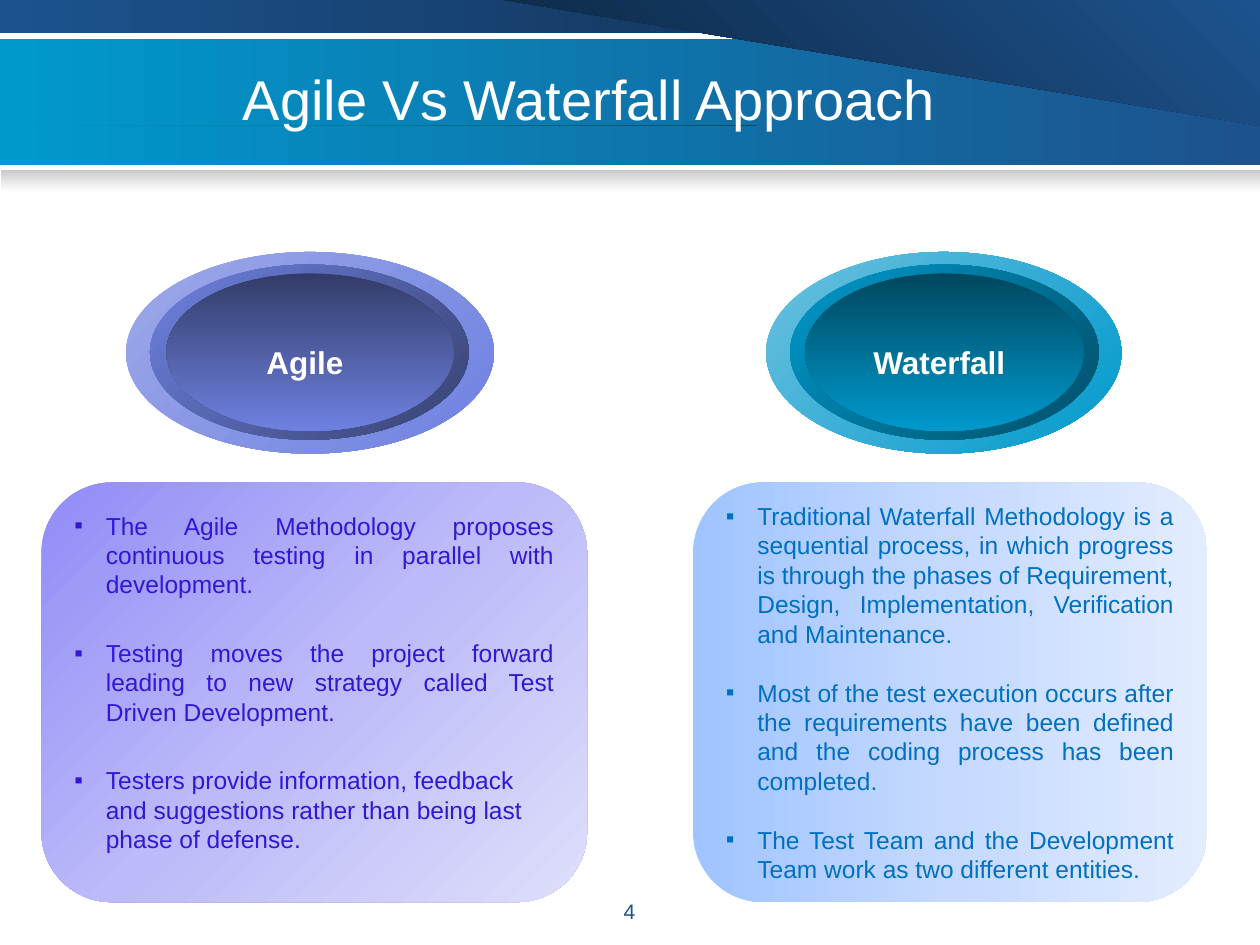
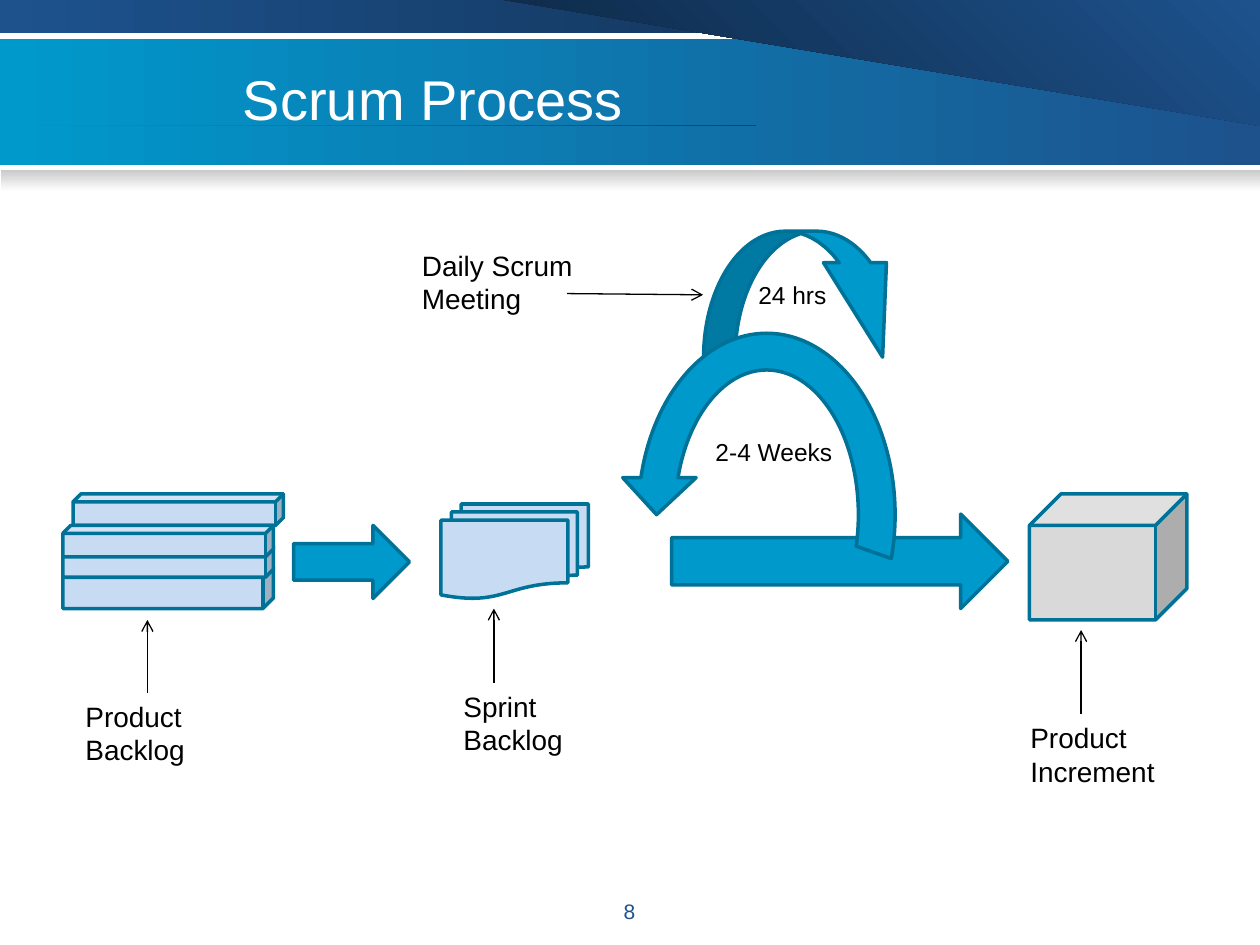
from lxml.etree import SubElement
from pptx import Presentation
from pptx.dml.color import RGBColor
from pptx.enum.shapes import MSO_CONNECTOR, MSO_SHAPE
from pptx.enum.text import MSO_ANCHOR, PP_ALIGN
from pptx.oxml.ns import qn
from pptx.util import Inches, Pt

THEME = {
    "font": "Arial",
    "title": {"size": Pt(32), "color": "FFFFFF"},
    "number": {"size": Pt(12), "color": "1D528D"},
    "heading": {"size": Pt(18), "color": "FFFFFF", "bold": True},
    "agile": {"size": Pt(14), "color": "3217D3"},
    "waterfall": {"size": Pt(14), "color": "0070C0"},
    "duration": {"size": Pt(14), "color": "000000"},
    "label": {"size": Pt(16), "color": "000000"},
    "cyan": "0099CC",
    "navy": "1D528D",
    "dark_navy": "0D2641",
    "dark_cyan": "00475E",
    "pale": "C7DCF3",
    "gray": "D9D9D9",
    "outline": "007197",
    "black": "000000",
}


def paint(shape, colors, angle=0, outline=None):
    """Fill with one colour, or with evenly spaced stops at a clockwise angle."""
    shape.shadow.inherit = False
    if isinstance(colors, str):
        shape.fill.solid()
        shape.fill.fore_color.rgb = RGBColor.from_string(colors)
    else:
        shape.fill.gradient()
        shape.fill.gradient_angle = (360 - angle) % 360
        stops = shape._element.spPr.find(".//" + qn("a:gsLst"))
        for stop in list(stops):
            stops.remove(stop)
        for index, color in enumerate(colors):
            position = round(100000 * index / (len(colors) - 1))
            stop = SubElement(stops, qn("a:gs"), pos=str(position))
            SubElement(stop, qn("a:srgbClr"), val=color)
    if outline:
        shape.line.color.rgb = RGBColor.from_string(outline)
        shape.line.width = Pt(2)
    else:
        shape.line.fill.background()


def write(shape, texts, style, align=PP_ALIGN.LEFT, anchor=MSO_ANCHOR.TOP,
          bullet=None, gap=0):
    frame = shape.text_frame
    frame.word_wrap = True
    frame.vertical_anchor = anchor
    for index, text in enumerate(texts):
        para = frame.add_paragraph() if index else frame.paragraphs[0]
        para.alignment = align
        if index:
            para.space_before = Pt(gap)
        if bullet:
            properties = para._p.get_or_add_pPr()
            properties.set("marL", str(Inches(0.25)))
            properties.set("indent", str(-Inches(0.25)))
            SubElement(properties, qn("a:buFont"), typeface=THEME["font"])
            SubElement(properties, qn("a:buChar"), char=bullet)
        span = para.add_run()
        span.text = text
        span.font.name = THEME["font"]
        for name, value in style.items():
            if name == "color":
                span.font.color.rgb = RGBColor.from_string(value)
            else:
                setattr(span.font, name, value)


deck = Presentation()
deck.slide_width, deck.slide_height = Inches(10), Inches(7.5)

# Shared header, title and page number
cyan, navy = THEME["cyan"], THEME["navy"]
dark_cyan, dark_navy = THEME["dark_cyan"], THEME["dark_navy"]
bands = [
    ((0, 0.31, 10, 1), (cyan, navy), 0),
    ((0, 0, 10, 0.26), (navy, dark_navy), 0),
    ((0.01, 1.35, 9.99, 0.17), ("CACACA", "FFFFFF"), 90),
]
wedges = [
    ([(3.93, 0.31), (10, 0.67), (10, 0.31)], (dark_navy, navy)),
    ([(0, 0.81), (6.43, 1.3), (0, 1.3)], (cyan, dark_cyan)),
]
pages = []
for title, number in (("Agile Vs Waterfall Approach", "4"), ("Scrum Process", "8")):
    page = deck.slides.add_slide(deck.slide_layouts[6])
    pages.append(page)
    for place, colors, angle in bands:
        band = page.shapes.add_shape(MSO_SHAPE.RECTANGLE, *map(Inches, place))
        paint(band, colors, angle)
    for points, colors in wedges:
        builder = page.shapes.build_freeform(*points[0], scale=Inches(1))
        builder.add_line_segments(points[1:])
        paint(builder.convert_to_shape(), colors, 315)
    box = page.shapes.add_textbox(*map(Inches, (1.83, 0.3, 7.25, 0.95)))
    write(box, [title], THEME["title"], anchor=MSO_ANCHOR.MIDDLE)
    box = page.shapes.add_textbox(*map(Inches, (3.83, 7.08, 2.33, 0.27)))
    write(box, [number], THEME["number"], PP_ALIGN.CENTER)

comparison, scrum = pages

# Agile and Waterfall columns
columns = [
    {
        "heading": "Agile", "heading_at": (0.92, 2.67, 3, 0.4),
        "rings": [
            ((1, 2, 2.92, 1.6), ("9DA9E9", "6E81E0"), 45),
            ((1.19, 2.1, 2.53, 1.39), ("6E81E0", "37416F"), 45),
            ((1.32, 2.17, 2.28, 1.25), ("333C68", "6E81E0"), 90),
        ],
        "panel_at": (0.33, 3.83, 4.33, 3.33), "angle": 45,
        "panel": ("908CF7", "BCBAF8", "DEDEFB"),
        "style": THEME["agile"], "gap": 22.4, "bottom": 0.21,
        "points": [
            "The Agile Methodology proposes continuous testing in parallel with development.",
            "Testing moves the project forward leading to new strategy called Test Driven "
            "Development.",
            "Testers provide information, feedback and suggestions rather than being last "
            "phase of defense.",
        ],
    },
    {
        "heading": "Waterfall", "heading_at": (6.75, 2.67, 1.41, 0.4),
        "rings": [
            ((6.08, 2, 2.82, 1.6), ("6CC1DF", "0099CC"), 45),
            ((6.27, 2.1, 2.45, 1.39), ("0099CC", "004E68"), 45),
            ((6.39, 2.17, 2.21, 1.25), ("00475E", "0099CC"), 90),
        ],
        "panel_at": (5.5, 3.83, 4.08, 3.33), "angle": 0,
        "panel": ("A0C4FF", "C5D9FF", "E3ECFF"),
        "style": THEME["waterfall"], "gap": 16.8, "bottom": 0.05,
        "points": [
            "Traditional Waterfall Methodology is a sequential process, in which progress is "
            "through the phases of Requirement, Design, Implementation, Verification and "
            "Maintenance.",
            "Most of the test execution occurs after the requirements have been defined and "
            "the coding process has been completed.",
            "The Test Team and the Development Team work as two different entities.",
        ],
    },
]
for column in columns:
    for place, colors, angle in column["rings"]:
        ring = comparison.shapes.add_shape(MSO_SHAPE.OVAL, *map(Inches, place))
        paint(ring, colors, angle)
    box = comparison.shapes.add_textbox(*map(Inches, column["heading_at"]))
    write(box, [column["heading"]], THEME["heading"], PP_ALIGN.CENTER)
    panel = comparison.shapes.add_shape(
        MSO_SHAPE.ROUNDED_RECTANGLE, *map(Inches, column["panel_at"]))
    paint(panel, column["panel"], column["angle"])
    panel.text_frame.margin_bottom = Inches(column["bottom"])
    write(panel, column["points"], column["style"], PP_ALIGN.JUSTIFY,
          MSO_ANCHOR.MIDDLE, "▪", column["gap"])
    if column["heading"] == "Agile":
        panel.text_frame.paragraphs[-1].alignment = PP_ALIGN.LEFT

# Scrum flow, from back to front
flow = [
    (MSO_SHAPE.CUBE, (0.5, 4.5, 1.67, 0.33), THEME["pale"]),
    (MSO_SHAPE.CUBE, (0.5, 4.33, 1.67, 0.25), THEME["pale"]),
    (MSO_SHAPE.CUBE, (0.58, 3.92, 1.67, 0.25), THEME["pale"]),
    (MSO_SHAPE.CUBE, (0.5, 4.17, 1.67, 0.25), THEME["pale"]),
    (MSO_SHAPE.RIGHT_ARROW, (2.33, 4.17, 0.92, 0.58), cyan),
    (MSO_SHAPE.FLOWCHART_MULTIDOCUMENT, (3.5, 4, 1.17, 0.75), THEME["pale"]),
    (MSO_SHAPE.RIGHT_ARROW, (5.33, 4.08, 2.67, 0.75), cyan),
    (MSO_SHAPE.CURVED_RIGHT_ARROW, (5.92, 1.5, 1, 1.67), cyan),
    (MSO_SHAPE.CIRCULAR_ARROW, (4.92, 2.5, 2.33, 3.17), cyan),
    (MSO_SHAPE.CUBE, (8.17, 3.92, 1.25, 1), THEME["gray"]),
]
loops = {
    MSO_SHAPE.CURVED_RIGHT_ARROW: (90, "flipV", (0.25, 0.5, 0.75)),
    MSO_SHAPE.CIRCULAR_ARROW: (0, "flipH", (0.125, 11.42, 204.58, 96.35, 0.125)),
}
for kind, place, color in flow:
    item = scrum.shapes.add_shape(kind, *map(Inches, place))
    paint(item, color, outline=THEME["outline"])
    if kind in loops:
        item.rotation, flip, adjustments = loops[kind]
        item._element.spPr.find(qn("a:xfrm")).set(flip, "1")
        for index, value in enumerate(adjustments):
            item.adjustments[index] = value

labels = [
    ("24 hrs", (5.92, 2.17, 0.83, 0.34), "duration"),
    ("2-4 Weeks", (5.58, 3.42, 1.25, 0.34), "duration"),
    ("Product Backlog", (0.58, 5.5, 1.25, 0.64), "label"),
    ("Sprint Backlog", (3.58, 5.42, 1.25, 0.64), "label"),
    ("Product Increment", (8.08, 5.67, 1.5, 0.64), "label"),
    ("Daily Scrum Meeting", (3.25, 1.92, 1.75, 0.64), "label"),
]
for text, place, style in labels:
    box = scrum.shapes.add_textbox(*map(Inches, place))
    write(box, [text], THEME[style])

pointers = [
    (1.17, 5.5, 1.17, 4.92),
    (3.92, 5.42, 3.92, 4.83),
    (8.58, 5.67, 8.58, 5),
    (4.5, 2.33, 5.58, 2.34),
]
for ends in pointers:
    pointer = scrum.shapes.add_connector(MSO_CONNECTOR.STRAIGHT, *map(Inches, ends))
    pointer.line.color.rgb = RGBColor.from_string(THEME["black"])
    pointer.line.width = Pt(0.75)
    SubElement(pointer.line._get_or_add_ln(), qn("a:tailEnd"), type="arrow")
    SubElement(pointer._element.spPr, qn("a:effectLst"))

deck.save("out.pptx")
